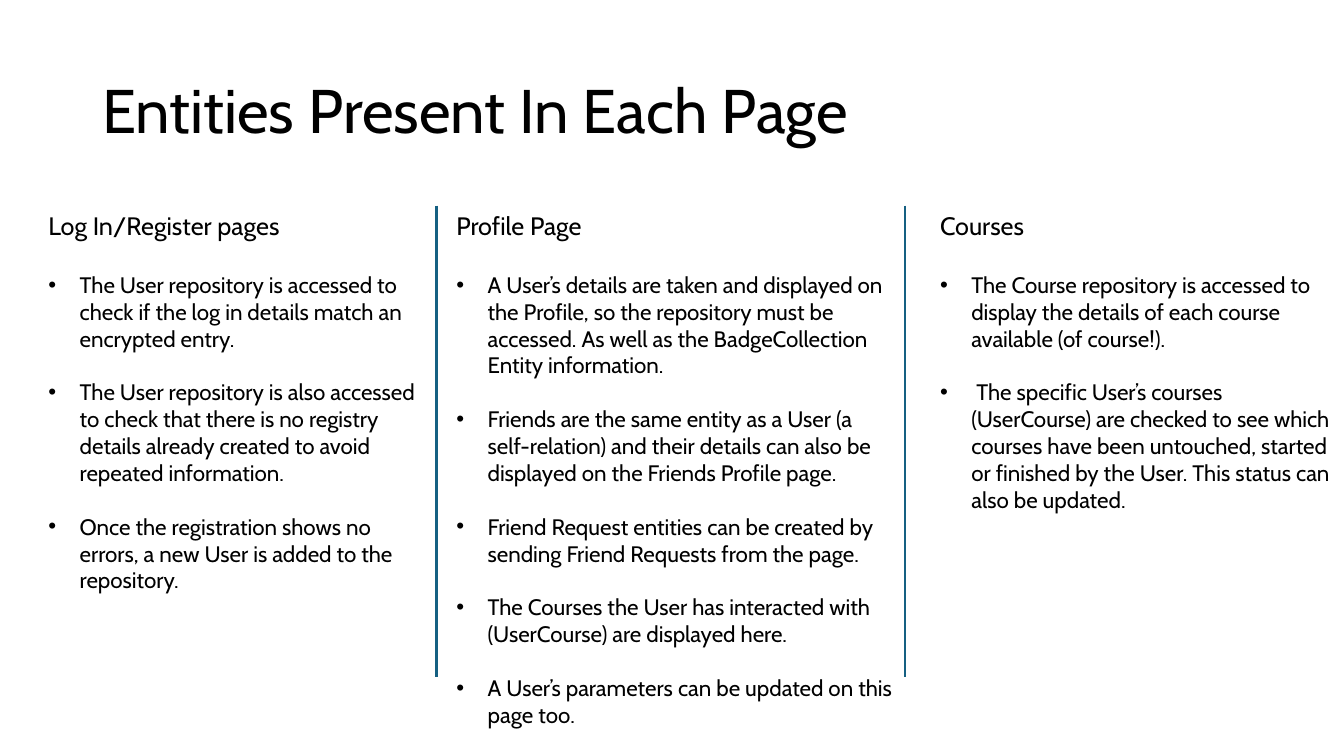
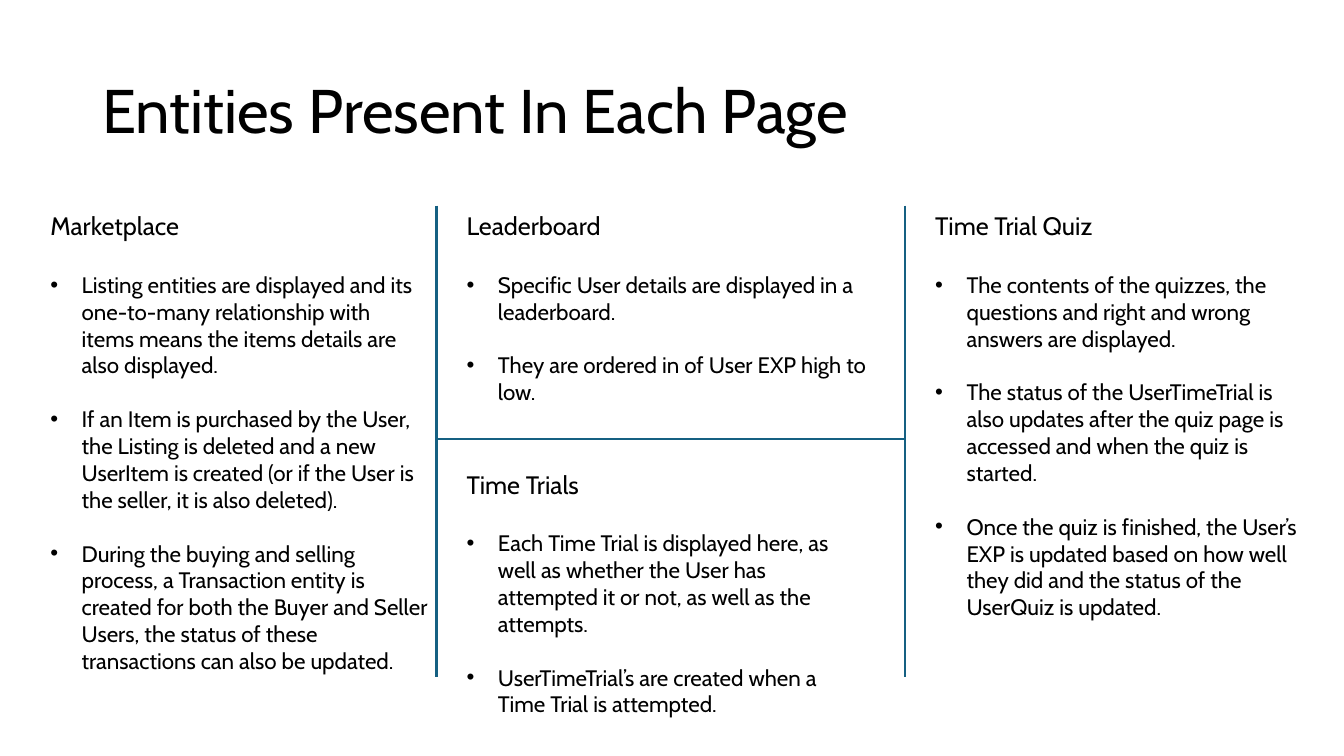
"""Build two slides listing the entities used on each page of an application."""
from lxml.etree import SubElement
from pptx import Presentation
from pptx.dml.color import RGBColor
from pptx.enum.shapes import MSO_CONNECTOR
from pptx.enum.text import MSO_ANCHOR, MSO_AUTO_SIZE
from pptx.oxml.ns import qn
from pptx.util import Cm, Pt

BLACK = RGBColor(0x00, 0x00, 0x00)
TEAL = RGBColor(0x15, 0x60, 0x82)
TITLE = "Entities Present In Each Page"
COLUMN_TOP, COLUMN_BOTTOM = 5.18, 17.07
LEFT_DIVIDER, RIGHT_DIVIDER = 11, 22.81
MIDDLE_DIVIDER = 11.07


class Deck:
    font_name = "Cabin"
    bullet_indent = Cm(0.79)
    heading_gap = Pt(21.6)
    bullet_gap = Pt(19.2)

    def __init__(self):
        self.presentation = Presentation()
        self.presentation.slide_width = Cm(33.87)
        self.presentation.slide_height = Cm(19.05)
        self.slide = None

    def add_slide(self):
        blank_layout = self.presentation.slide_layouts[6]
        self.slide = self.presentation.slides.add_slide(blank_layout)
        self.add_title()
        for x in (LEFT_DIVIDER, RIGHT_DIVIDER):
            self.add_divider(x, COLUMN_TOP, x, COLUMN_BOTTOM)

    def add_text_frame(self, left, top, width, height):
        shape = self.slide.shapes.add_textbox(Cm(left), Cm(top), Cm(width), Cm(height))
        shape.text_frame.word_wrap = True
        return shape.text_frame

    def style_paragraph(self, paragraph, text, size):
        paragraph.text = text
        paragraph.font.name = self.font_name
        paragraph.font.size = Pt(size)
        paragraph.font.color.rgb = BLACK

    def add_title(self):
        text_frame = self.add_text_frame(2.33, 1.01, 29.21, 3.68)
        text_frame.vertical_anchor = MSO_ANCHOR.MIDDLE
        paragraph = text_frame.paragraphs[0]
        paragraph.line_spacing = 0.9
        self.style_paragraph(paragraph, TITLE, 44)

    def add_divider(self, start_x, start_y, end_x, end_y):
        connector = self.slide.shapes.add_connector(
            MSO_CONNECTOR.STRAIGHT, Cm(start_x), Cm(start_y), Cm(end_x), Cm(end_y)
        )
        connector.line.color.rgb = TEAL
        connector.line.width = Pt(1.5)
        SubElement(connector.element.spPr, qn("a:effectLst"))

    def add_bullet(self, text_frame, text, gap):
        paragraph = text_frame.add_paragraph()
        properties = paragraph._p.get_or_add_pPr()
        properties.set("marL", str(self.bullet_indent))
        properties.set("indent", str(-self.bullet_indent))
        SubElement(properties, qn("a:buFont"), typeface="Arial")
        SubElement(properties, qn("a:buChar"), char="•")
        paragraph.space_before = gap
        self.style_paragraph(paragraph, text, 16)

    def add_section(self, left, width, height, heading, bullets, top=COLUMN_TOP):
        text_frame = self.add_text_frame(left, top, width, height)
        text_frame.auto_size = MSO_AUTO_SIZE.SHAPE_TO_FIT_TEXT
        self.style_paragraph(text_frame.paragraphs[0], heading, 18)
        gap = self.heading_gap
        for bullet in bullets:
            self.add_bullet(text_frame, bullet, gap)
            gap = self.bullet_gap


def add_account_slide(deck):
    deck.add_slide()
    deck.add_section(0.97, 9.8, 10.77, "Log In/Register pages", [
        "The User repository is accessed to check if the log in details match "
        "an encrypted entry.",
        "The User repository is also accessed to check that there is no registry "
        "details already created to avoid repeated information.",
        "Once the registration shows no errors, a new User is added to the repository.",
    ])
    deck.add_section(11.25, 11.61, 13.41, "Profile Page", [
        "A User’s details are taken and displayed on the Profile, so the repository "
        "must be accessed. As well as the BadgeCollection Entity information.",
        "Friends are the same entity as a User (a self-relation) and their details "
        "can also be displayed on the Friends Profile page.",
        "Friend Request entities can be created by sending Friend Requests from the page.",
        "The Courses the User has interacted with (UserCourse) are displayed here.",
        "A User’s parameters can be updated on this page too.",
    ])
    deck.add_section(23.44, 10.41, 10.01, "Courses", [
        "The Course repository is accessed to display the details of each course "
        "available (of course!).",
        " The specific User’s courses (UserCourse) are checked to see which courses "
        "have been untouched, started or finished by the User. This status can "
        "also be updated.",
    ])


def add_activity_slide(deck):
    deck.add_slide()
    deck.add_divider(LEFT_DIVIDER, MIDDLE_DIVIDER, RIGHT_DIVIDER, MIDDLE_DIVIDER)
    deck.add_section(1.02, 10.01, 14.1, "Marketplace", [
        "Listing entities are displayed and its one-to-many relationship with "
        "items means the items details are also displayed.",
        "If an Item is purchased by the User, the Listing is deleted and a new "
        "UserItem is created (or if the User is the seller, it is also deleted).",
        "During the buying and selling process, a Transaction entity is created for "
        "both the Buyer and Seller Users, the status of these transactions can "
        "also be updated.",
    ])
    deck.add_section(11.51, 10.59, 5.89, "Leaderboard", [
        "Specific User details are displayed in a leaderboard.",
        "They are ordered in of User EXP high to low.",
    ])
    deck.add_section(11.51, 10.59, 7.26, "Time Trials", [
        "Each Time Trial is displayed here, as well as whether the User has "
        "attempted it or not, as well as the attempts.",
        "UserTimeTrial’s are created when a Time Trial is attempted.",
    ], top=11.69)
    deck.add_section(23.32, 9.98, 11.38, "Time Trial Quiz", [
        "The contents of the quizzes, the questions and right and wrong answers "
        "are displayed.",
        "The status of the UserTimeTrial is also updates after the quiz page is "
        "accessed and when the quiz is started.",
        "Once the quiz is finished, the User’s EXP is updated based on how well "
        "they did and the status of the UserQuiz is updated.",
    ])


def main():
    deck = Deck()
    add_account_slide(deck)
    add_activity_slide(deck)
    deck.presentation.save("out.pptx")


if __name__ == "__main__":
    main()
